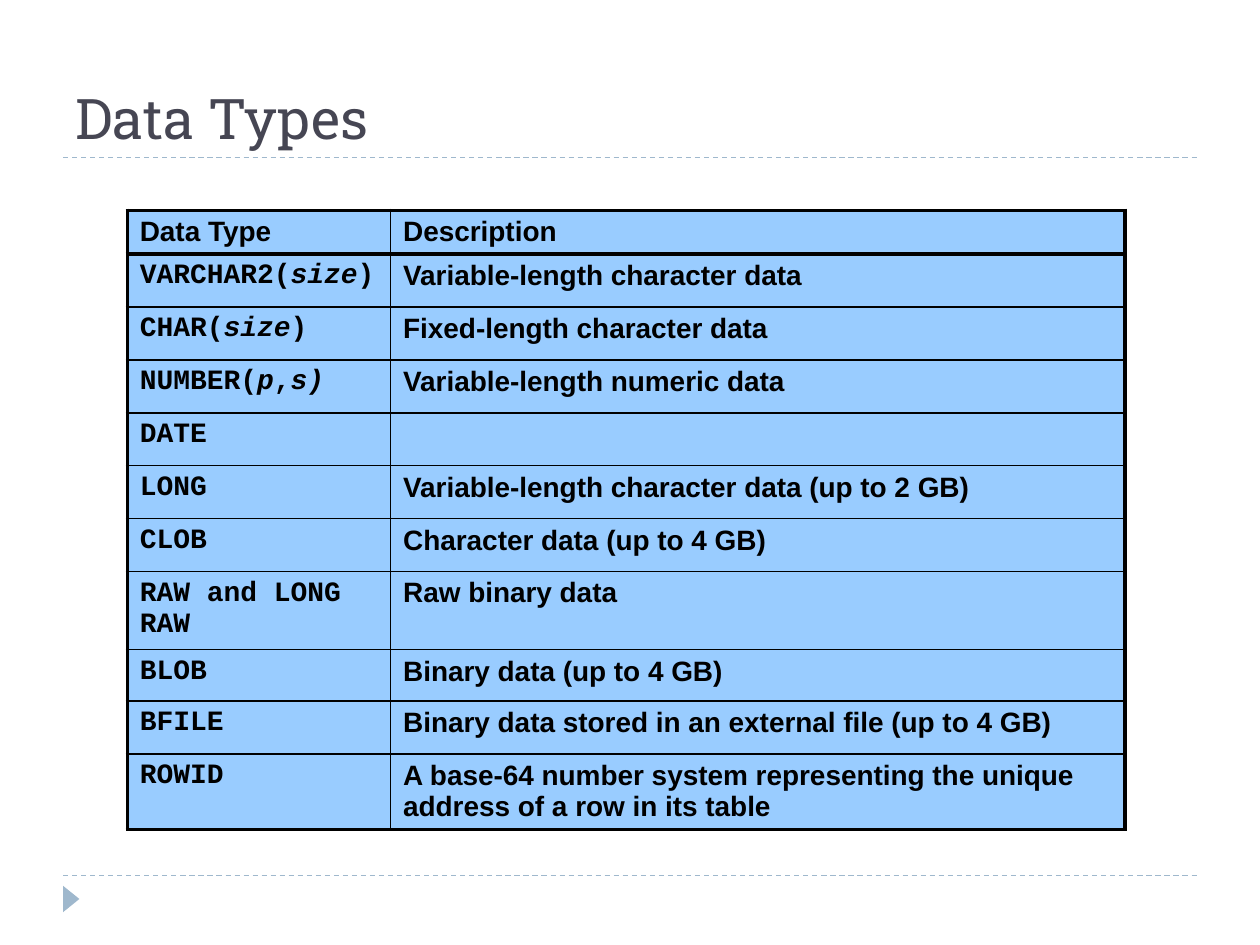
from lxml import etree
from pptx import Presentation
from pptx.dml.color import RGBColor
from pptx.enum import dml, shapes, text
from pptx.oxml import ns
from pptx.util import Inches, Pt

# Content: a type is a list of (text, italic) runs
TITLE = "Data Types"
HEADER = ("Data Type", "Description")
DATA_TYPES = [
    ([("VARCHAR2(", False), ("size", True), (")", False)], "Variable-length character data"),
    ([("CHAR(", False), ("size", True), (")", False)], "Fixed-length character data"),
    ([("NUMBER(", False), ("p", True), (",", False), ("s)", True)], "Variable-length numeric data"),
    ([("DATE", False)], ""),
    ([("LONG", False)], "Variable-length character data (up to 2 GB)"),
    ([("CLOB", False)], "Character data (up to 4 GB)"),
    ([("RAW and LONG RAW", False)], "Raw binary data"),
    ([("BLOB", False)], "Binary data (up to 4 GB)"),
    ([("BFILE", False)], "Binary data stored in an external file (up to 4 GB)"),
    ([("ROWID", False)], "A base-64 number system representing the unique address of a row in its table"),
]

# Style and layout
ACCENT = RGBColor(0x9F, 0xB8, 0xCD)
TITLE_COLOR = RGBColor(0x46, 0x46, 0x53)
BLACK = RGBColor(0, 0, 0)
CELL_FILL = RGBColor(0x99, 0xCC, 0xFF)
THIN, THICK = Pt(1), Pt(2.25)
COLUMN_WIDTHS = (2.09, 5.83)
ROW_HEIGHT = 0.42
SPECIAL_HEIGHTS = {0: 0.34, 7: 0.62, 8: 0.41, 10: 0.6}


def add_run(paragraph, content, **font_values):
    run = paragraph.add_run()
    run.text = content
    run.font.color.rgb = font_values.pop("color")
    for name, value in font_values.items():
        setattr(run.font, name, value)


def set_borders(cell, widths):
    properties = cell._tc.get_or_add_tcPr()
    for index, (side, width) in enumerate(widths.items()):
        line = etree.Element(ns.qn(f"a:ln{side}"), w=str(int(width)))
        fill = etree.SubElement(line, ns.qn("a:solidFill"))
        etree.SubElement(fill, ns.qn("a:srgbClr"), val=str(BLACK))
        properties.insert(index, line)


presentation = Presentation()
presentation.slide_width, presentation.slide_height = Inches(10), Inches(7.5)
slide = presentation.slides.add_slide(presentation.slide_layouts[5])

# Dashed rules and corner marker
for y in (6.95, 1.25):
    rule = slide.shapes.add_connector(
        shapes.MSO_CONNECTOR.STRAIGHT, Inches(0.5), Inches(y), Inches(9.5), Inches(y))
    rule.line.color.rgb = ACCENT
    rule.line.width = Pt(0.75)
    rule.line.dash_style = dml.MSO_LINE.DASH
    etree.SubElement(rule._element.spPr, ns.qn("a:effectLst"))

marker = slide.shapes.add_shape(
    shapes.MSO_SHAPE.ISOSCELES_TRIANGLE, Inches(0.46), Inches(7.07), Inches(0.21), Inches(0.13))
marker.rotation = 90
marker.shadow.inherit = False
marker.fill.solid()
marker.fill.fore_color.rgb = ACCENT
marker.line.fill.background()

# Title
title = slide.shapes.title
title.left, title.top, title.width, title.height = map(Inches, (0.5, 0.25, 9, 1))
title.text_frame.vertical_anchor = text.MSO_ANCHOR.BOTTOM
paragraph = title.text_frame.paragraphs[0]
paragraph.alignment = text.PP_ALIGN.LEFT
add_run(paragraph, TITLE, name="Roboto Slab", size=Pt(32), color=TITLE_COLOR)

# Table
rows = [([(HEADER[0], False)], HEADER[1])] + DATA_TYPES
heights = [SPECIAL_HEIGHTS.get(index, ROW_HEIGHT) for index in range(len(rows))]
table = slide.shapes.add_table(
    len(rows), len(COLUMN_WIDTHS), Inches(1.01), Inches(1.67),
    Inches(sum(COLUMN_WIDTHS)), Inches(sum(heights))).table
table.first_row = table.horz_banding = False
for column, width in zip(table.columns, COLUMN_WIDTHS):
    column.width = Inches(width)

last = len(rows) - 1
for row_index, (type_runs, description) in enumerate(rows):
    table.rows[row_index].height = Inches(heights[row_index])
    description_runs = [(description, False)] if description else []
    for column_index, runs in enumerate((type_runs, description_runs)):
        cell = table.cell(row_index, column_index)
        cell.fill.solid()
        cell.fill.fore_color.rgb = CELL_FILL
        set_borders(cell, {
            "L": THICK if column_index == 0 else THIN,
            "R": THICK if column_index == 1 else THIN,
            "T": THICK if row_index <= 1 else THIN,
            "B": THICK if row_index in (0, last) else THIN,
        })
        font = "Courier New" if row_index and column_index == 0 else "Arial"
        for content, italic in runs:
            add_run(cell.text_frame.paragraphs[0], content, name=font,
                    size=Pt(16), bold=True, italic=italic, color=BLACK)

presentation.save("out.pptx")
